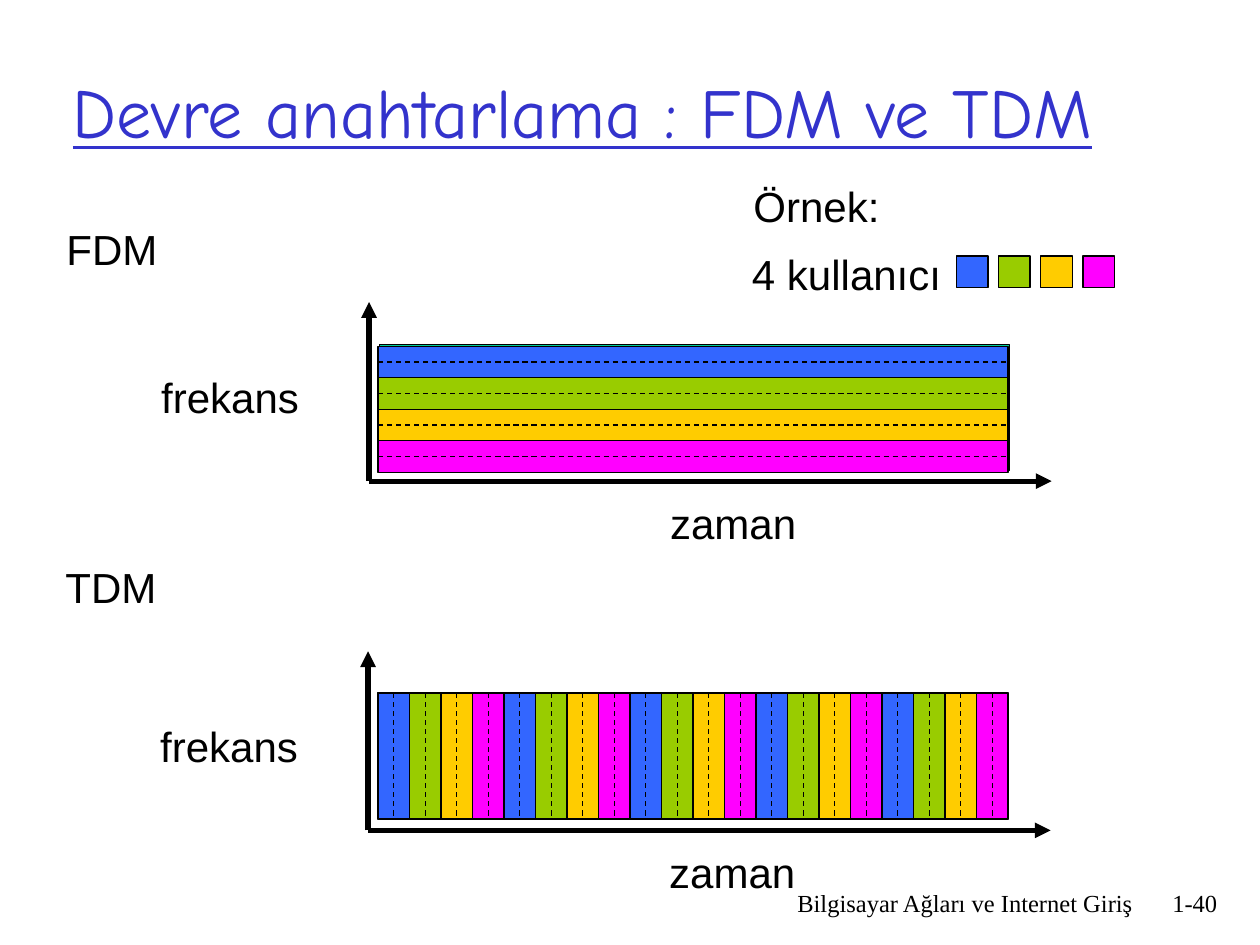
"""Build the slide that compares FDM and TDM circuit switching."""
from dataclasses import dataclass

from lxml.etree import SubElement
from pptx import Presentation
from pptx.dml.color import RGBColor
from pptx.enum.dml import MSO_LINE_DASH_STYLE as DASH
from pptx.enum.shapes import MSO_CONNECTOR, MSO_SHAPE
from pptx.enum.text import MSO_ANCHOR, PP_ALIGN
from pptx.oxml.ns import qn
from pptx.util import Cm, Pt

COLORS = {
    "text": "000000", "title": "3333CC", "back": "00CC99",
    "blue": "3366FF", "green": "99CC00", "yellow": "FFCC00", "pink": "FF00FF",
}
USERS = ("blue", "green", "yellow", "pink")
BLOCK_LEFT, BLOCK_W, BLOCK_H = 7.62, 12.7, 2.54
THIN, THICK = 0.74, 3
BAND = BLOCK_H / len(USERS)


@dataclass(frozen=True)
class Diagram:
    name: str
    label_y: float
    origin_x: float
    origin_y: float
    block_top: float
    back_shift: float
    stacked: bool


DIAGRAMS = (
    Diagram("FDM", 4.39, 7.44, 9.7, 6.98, 0.03, True),
    Diagram("TDM", 11.2, 7.42, 16.74, 13.97, 0, False),
)


def rgb(name: str) -> RGBColor:
    return RGBColor.from_string(COLORS[name])


def add_text(s, text: str, x: float, y: float, w: float, h: float = 1.27, *,
             size: float = 24, font: str = "Arial", color: str = "text",
             align=PP_ALIGN.LEFT, anchor=MSO_ANCHOR.TOP,
             underline: bool = False, wrap: bool = False) -> None:
    tf = s.shapes.add_textbox(Cm(x), Cm(y), Cm(w), Cm(h)).text_frame
    tf.word_wrap, tf.vertical_anchor = wrap, anchor
    p = tf.paragraphs[0]
    p.alignment = align
    r = p.add_run()
    r.text = text
    r.font.size, r.font.name, r.font.underline = Pt(size), font, underline
    r.font.color.rgb = rgb(color)


def add_box(s, x: float, y: float, w: float, h: float, color: str) -> None:
    sp = s.shapes.add_shape(MSO_SHAPE.RECTANGLE, Cm(x), Cm(y), Cm(w), Cm(h))
    sp.shadow.inherit = False
    sp.fill.solid()
    sp.fill.fore_color.rgb = rgb(color)
    sp.line.color.rgb = rgb("text")
    sp.line.width = Pt(THIN)


def add_line(s, x1: float, y1: float, x2: float, y2: float, *,
             width: float = THIN, dashed: bool = False, arrow: bool = False) -> None:
    sp = s.shapes.add_connector(MSO_CONNECTOR.STRAIGHT, Cm(x1), Cm(y1), Cm(x2), Cm(y2))
    sp.line.color.rgb = rgb("text")
    sp.line.width = Pt(width)
    if dashed:
        sp.line.dash_style = DASH.DASH
    if arrow:
        SubElement(sp.line._get_or_add_ln(), qn("a:tailEnd"), type="triangle")
    SubElement(sp._element.spPr, qn("a:effectLst"))


def add_divider(s, d: Diagram, offset: float, dashed: bool = False) -> None:
    if d.stacked:
        y = d.block_top + offset
        add_line(s, BLOCK_LEFT, y, BLOCK_LEFT + BLOCK_W, y, dashed=dashed)
    else:
        x = BLOCK_LEFT + offset
        add_line(s, x, d.block_top, x, d.block_top + BLOCK_H, dashed=dashed)


def add_diagram(s, d: Diagram) -> None:
    x, y = d.origin_x, d.origin_y
    add_text(s, d.name, x - 6.35, d.label_y, 2.34)
    add_text(s, "frekans", x - 4.44, y - 2.33, 3.28)
    add_text(s, "zaman", x + 5.82, y + 0.2, 3.05)
    add_line(s, x, y, x, y - 3.61, width=THICK, arrow=True)
    add_line(s, x, y, x + 13.76, y, width=THICK, arrow=True)
    add_box(s, BLOCK_LEFT + d.back_shift, d.block_top - d.back_shift,
            BLOCK_W, BLOCK_H, "back")
    bands = round((BLOCK_H if d.stacked else BLOCK_W) / BAND)
    for i in range(bands):
        color = USERS[i % len(USERS)]
        if d.stacked:
            add_box(s, BLOCK_LEFT, d.block_top + i * BAND, BLOCK_W, BAND, color)
        else:
            add_box(s, BLOCK_LEFT + i * BAND, d.block_top, BAND, BLOCK_H, color)
    for i in range(1, bands):
        add_divider(s, d, i * BAND)
    for i in range(bands):
        add_divider(s, d, (i + 0.5) * BAND, dashed=True)


def add_legend(s) -> None:
    add_text(s, "Örnek:", 14.94, 3.51, 3.05)
    add_text(s, "4 kullanıcı", 14.91, 4.88, 4.32)
    for i, color in enumerate(USERS):
        add_box(s, 19.28 + i * 0.85, 5.16, BAND, BAND, color)


def main() -> None:
    prs = Presentation()
    prs.slide_width, prs.slide_height = Cm(25.4), Cm(19.05)
    s = prs.slides.add_slide(prs.slide_layouts[6])
    footer = dict(size=14, font="Times New Roman", align=PP_ALIGN.RIGHT, wrap=True)
    add_text(s, "Bilgisayar Ağları ve Internet Giriş", 15.04, 17.78, 8.05, **footer)
    add_text(s, "1-40", 23.06, 17.78, 1.73, **footer)
    add_text(s, "Devre anahtarlama : FDM ve TDM", 1.22, 0.64, 23.52, 3.18,
             size=40, font="Comic Neue", color="title",
             anchor=MSO_ANCHOR.MIDDLE, underline=True, wrap=True)
    for d in DIAGRAMS:
        add_diagram(s, d)
    add_legend(s)
    prs.save("out.pptx")


main()
